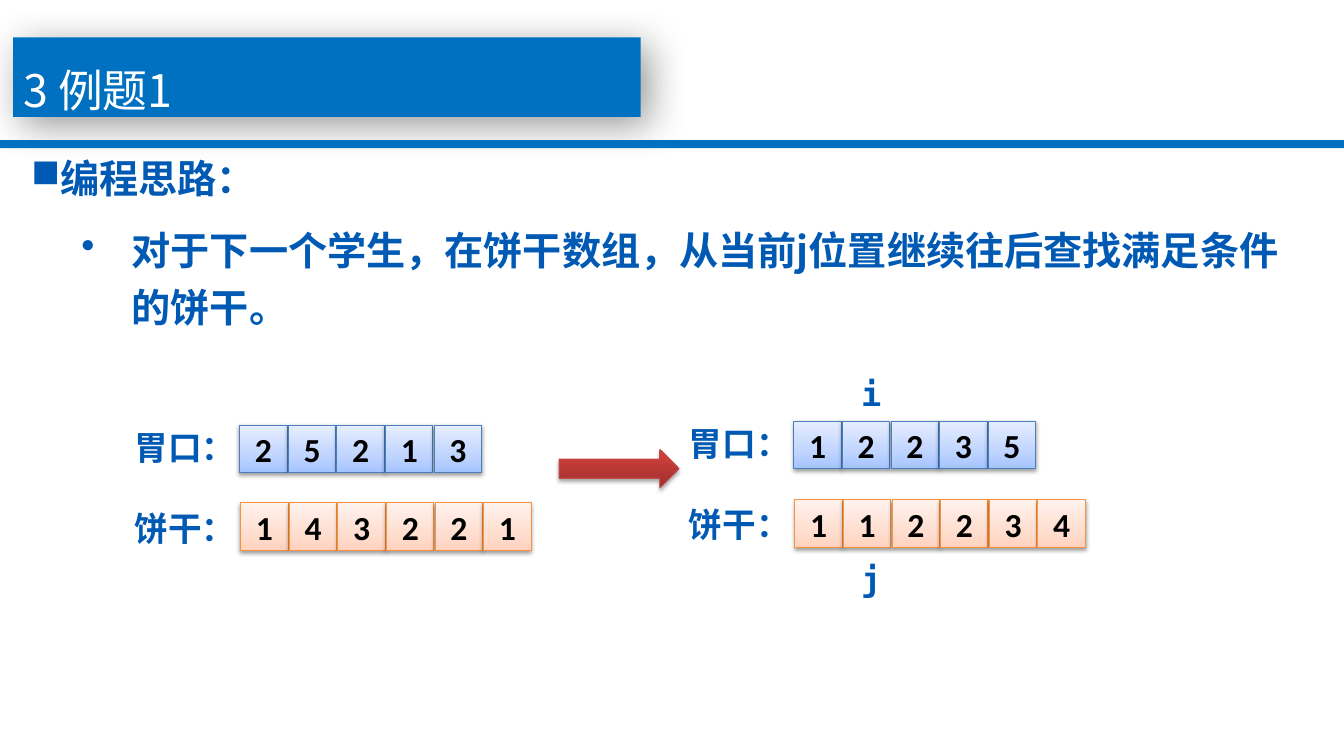
from dataclasses import dataclass

from pptx import Presentation
from pptx.dml.color import RGBColor
from pptx.enum.shapes import MSO_SHAPE as Preset
from pptx.enum.text import MSO_ANCHOR as Anchor, MSO_AUTO_SIZE as AutoSize, PP_ALIGN as Align
from pptx.oxml import parse_xml
from pptx.oxml.ns import nsdecls, qn
from pptx.oxml.xmlchemy import OxmlElement
from pptx.shapes.autoshape import Shape
from pptx.slide import Slide
from pptx.util import Emu, Pt

EMU_PER_PX = 9144
CELL_SIZE = 47
CELL_PITCH = 48.25
COLORS = {"banner": "0070C0", "text": "005AB4", "white": "FFFFFF", "black": "000000",
          "blue_line": "4B7EBC", "orange_line": "F69240", "red_line": "BF4C48"}
SANS, MONO, DIGITS = "Noto Sans CJK SC", "DejaVu Sans Mono", "Calibri"


@dataclass(frozen=True)
class Shadow:
    alpha: int
    blur: float
    distance: float
    angle: int


@dataclass(frozen=True)
class Style:
    stops: tuple[tuple[int, str], ...]
    line: str
    shadow: Shadow


@dataclass(frozen=True)
class ArrayRow:
    label: str
    label_left: int
    label_top: int
    cells_left: int
    cells_top: int
    values: tuple[int, ...]
    style: Style


CELL_SHADOW = Shadow(38, 3.1, 1.6, 90)
APPETITE = Style(((0, "A4C4FF"), (35, "BFD4FF"), (100, "E6EEFF")), "blue_line", CELL_SHADOW)
COOKIE = Style(((0, "FFD2BD"), (35, "FFDED0"), (100, "FFF2ED")), "orange_line", CELL_SHADOW)
ARROW = Style(((0, "9C2F2D"), (80, "CB3E3A"), (100, "CE3B37")), "red_line",
              Shadow(35, 3.1, 1.8, 90))
ROWS = (
    ArrayRow("胃口：", 124, 419, 238, 422, (2, 5, 2, 1, 3), APPETITE),
    ArrayRow("饼干：", 124, 499, 239, 499, (1, 4, 3, 2, 2, 1), COOKIE),
    ArrayRow("胃口：", 674, 415, 788, 418, (1, 2, 2, 3, 5), APPETITE),
    ArrayRow("饼干：", 674, 495, 789, 496, (1, 1, 2, 2, 3, 4), COOKIE),
)


def px(value: float) -> Emu:
    return Emu(round(value * EMU_PER_PX))


def rgb(name: str) -> RGBColor:
    return RGBColor.from_string(COLORS[name])


def write(shape: Shape, text: str, *, size: int, font: str, color: str = "text",
          bold: bool = True, align: Align = Align.LEFT, spacing: float | None = None,
          before: int = 0, bullet: str = "", margin: int = 0, indent: int = 0) -> None:
    """Fill the empty first paragraph, or add one after it."""
    frame = shape.text_frame
    paragraph = frame.add_paragraph() if frame.text else frame.paragraphs[0]
    if bullet:
        properties = paragraph._p.get_or_add_pPr()
        properties.set("marL", str(px(margin)))
        properties.set("indent", str(px(indent)))
        mark = OxmlElement("a:buChar")
        mark.set("char", bullet)
        properties.append(mark)
    paragraph.alignment = align
    paragraph.line_spacing = spacing
    paragraph.space_before = Pt(before)
    run = paragraph.add_run()
    run.text = text
    run.font.size, run.font.bold, run.font.name = Pt(size), bold, font
    run.font.color.rgb = rgb(color)
    east_asian = OxmlElement("a:ea")
    east_asian.set("typeface", font)
    run.font._element.find(qn("a:latin")).addnext(east_asian)


def add_text_box(slide: Slide, left: int, top: int, width: int, height: int,
                 wrap: bool = True) -> Shape:
    box = slide.shapes.add_textbox(px(left), px(top), px(width), px(height))
    box.text_frame.word_wrap = wrap
    box.text_frame.auto_size = AutoSize.SHAPE_TO_FIT_TEXT
    return box


def add_shadow(shape: Shape, shadow: Shadow) -> None:
    shape._element.spPr.find(qn("a:effectLst")).append(parse_xml(
        f'<a:outerShdw {nsdecls("a")} blurRad="{Pt(shadow.blur)}" dist="{Pt(shadow.distance)}" '
        f'dir="{shadow.angle * 60000}" algn="tl" rotWithShape="0"><a:srgbClr val="{COLORS["black"]}">'
        f'<a:alpha val="{shadow.alpha * 1000}"/></a:srgbClr></a:outerShdw>'))


def add_preset(slide: Slide, preset: Preset, left: float, top: int, width: int,
               height: int) -> Shape:
    shape = slide.shapes.add_shape(preset, px(left), px(top), px(width), px(height))
    shape.shadow.inherit = False
    return shape


def add_bar(slide: Slide, left: int, top: int, width: int, height: int) -> Shape:
    bar = add_preset(slide, Preset.RECTANGLE, left, top, width, height)
    bar.fill.solid()
    bar.fill.fore_color.rgb = rgb("banner")
    bar.line.fill.background()
    return bar


def add_styled(slide: Slide, preset: Preset, left: float, top: int, width: int, height: int,
               style: Style) -> Shape:
    shape = add_preset(slide, preset, left, top, width, height)
    stops = "".join(f'<a:gs pos="{position * 1000}"><a:srgbClr val="{color}"/></a:gs>'
                    for position, color in style.stops)
    shape._element.spPr.find(qn("a:prstGeom")).addnext(parse_xml(
        f'<a:gradFill {nsdecls("a")} rotWithShape="1"><a:gsLst>{stops}</a:gsLst>'
        '<a:lin ang="16200000" scaled="0"/></a:gradFill>'))
    shape.line.color.rgb = rgb(style.line)
    shape.line.width = Pt(0.75)
    add_shadow(shape, style.shadow)
    return shape


def add_row(slide: Slide, row: ArrayRow) -> None:
    label = add_text_box(slide, row.label_left, row.label_top, 126, 50)
    write(label, row.label, size=24, font=MONO)
    for index, value in enumerate(row.values):
        cell = add_styled(slide, Preset.RECTANGLE, row.cells_left + index * CELL_PITCH,
                          row.cells_top, CELL_SIZE, CELL_SIZE, row.style)
        cell.text_frame.vertical_anchor = Anchor.MIDDLE
        write(cell, str(value), size=24, font=DIGITS, color="black", align=Align.CENTER)


def main() -> None:
    presentation = Presentation()
    presentation.slide_width, presentation.slide_height = px(1334), px(750)
    slide = presentation.slides.add_slide(presentation.slide_layouts[5])

    # Banner, rule and title
    banner = add_bar(slide, 13, 37, 623, 79)
    add_shadow(banner, Shadow(40, 28, 8, 45))
    add_bar(slide, 0, 139, 1334, 8)
    title = slide.shapes.title
    banner._element.addnext(title._element)
    title.left, title.top, title.width, title.height = px(13), px(36), px(618), px(77)
    title.text_frame.vertical_anchor = Anchor.TOP
    title.text_frame.auto_size = AutoSize.SHAPE_TO_FIT_TEXT
    write(title, "3 例题1", size=32, font=SANS, color="white", bold=False, spacing=1.4)

    # Explanation
    body = add_text_box(slide, 21, 139, 1273, 199)
    write(body, "编程思路：", size=28, font=SANS, spacing=1.2, bullet="■")
    write(body, "对于下一个学生，在饼干数组，从当前j位置继续往后查找满足条件的饼干。", size=28,
          font=SANS, spacing=1.2, before=11, bullet="•", margin=100, indent=-50)

    # Arrays before and after sorting
    for row in ROWS:
        add_row(slide, row)
    add_styled(slide, Preset.RIGHT_ARROW, 555, 446, 119, 38, ARROW)

    # Index markers
    for marker, top in (("i", 365), ("j", 549)):
        write(add_text_box(slide, 845, top, 39, 50, wrap=False), marker, size=24, font=MONO)

    presentation.save("out.pptx")


if __name__ == "__main__":
    main()
